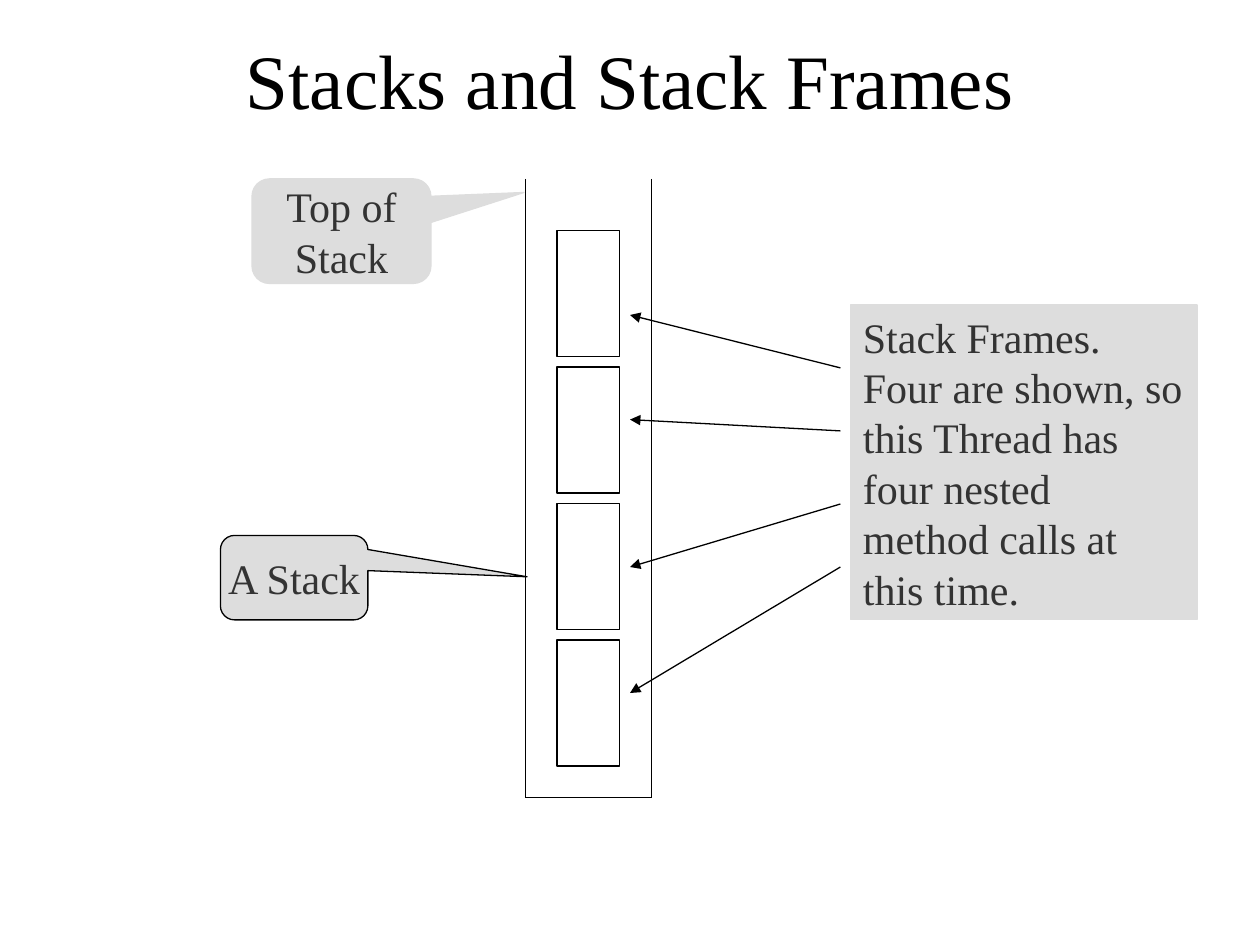
from lxml import etree
from pptx import Presentation
from pptx.dml.color import RGBColor
from pptx.enum.shapes import MSO_CONNECTOR, MSO_SHAPE
from pptx.enum.text import MSO_ANCHOR, PP_ALIGN
from pptx.oxml.ns import qn
from pptx.util import Inches, Pt

BLACK = RGBColor(0x00, 0x00, 0x00)
DARK_GRAY = RGBColor(0x33, 0x33, 0x33)
LIGHT_GRAY = RGBColor(0xDD, 0xDD, 0xDD)
FONT = "Times New Roman"
LINE_WIDTH = Pt(0.75)


def write_text(shape, *lines, size=24, color=DARK_GRAY, align=PP_ALIGN.CENTER,
               anchor=MSO_ANCHOR.MIDDLE, wrap=True):
    """Write one paragraph per line, all in the same format."""
    frame = shape.text_frame
    frame.word_wrap = wrap
    frame.vertical_anchor = anchor
    for index, line in enumerate(lines):
        paragraph = frame.paragraphs[0] if index == 0 else frame.add_paragraph()
        paragraph.text = line
        paragraph.alignment = align
        paragraph.font.name = FONT
        paragraph.font.size = Pt(size)
        paragraph.font.color.rgb = color


def add_box(slide, kind, left, top, width, height, fill=None, line=BLACK):
    shape = slide.shapes.add_shape(
        kind, Inches(left), Inches(top), Inches(width), Inches(height))
    shape.shadow.inherit = False
    if fill is None:
        shape.fill.background()
    else:
        shape.fill.solid()
        shape.fill.fore_color.rgb = fill
    shape.line.color.rgb = line
    shape.line.width = LINE_WIDTH
    return shape


def add_line(slide, start, end, arrow=False):
    connector = slide.shapes.add_connector(
        MSO_CONNECTOR.STRAIGHT, *(Inches(value) for value in (*start, *end)))
    connector.line.color.rgb = BLACK
    connector.line.width = LINE_WIDTH
    if arrow:
        line = connector.line._get_or_add_ln()
        etree.SubElement(line, qn("a:tailEnd"), type="triangle")
    etree.SubElement(connector._element.spPr, qn("a:effectLst"))


def add_title(slide, left, top, width, height):
    box = slide.shapes.add_textbox(
        Inches(left), Inches(top), Inches(width), Inches(height))
    write_text(box, "Stacks and Stack Frames", size=44, color=BLACK)


def add_stack(slide, left, top, width, height, frame_count=4):
    """Draw a container open at the top, with its frames piled from the bottom."""
    right, bottom = left + width, top + height
    frame_height, pitch, margin = 1, 13 / 12, 0.25
    first_top = bottom - margin - frame_height - (frame_count - 1) * pitch
    for index in range(frame_count):
        add_box(slide, MSO_SHAPE.RECTANGLE, left + margin,
                first_top + index * pitch, width - 2 * margin, frame_height)
    add_line(slide, (left, top), (left, bottom))
    add_line(slide, (right, top), (right, bottom))
    add_line(slide, (left, bottom), (right, bottom))


def add_callout(slide, left, top, width, height, *lines, pointer, line):
    callout = add_box(slide, MSO_SHAPE.ROUNDED_RECTANGULAR_CALLOUT,
                      left, top, width, height, fill=LIGHT_GRAY, line=line)
    callout.adjustments[0], callout.adjustments[1] = pointer
    write_text(callout, *lines, wrap=False)


def add_frames_note(slide, left, top, width, height):
    """Draw the explanation and its arrows to the stack frames."""
    note = add_box(slide, MSO_SHAPE.RECTANGLE, left, top, width, height,
                   fill=LIGHT_GRAY, line=LIGHT_GRAY)
    write_text(note, "Stack Frames.  Four are shown, so this Thread has four "
               "nested method calls at this time.",
               align=PP_ALIGN.LEFT, anchor=MSO_ANCHOR.TOP)
    arrow_heights = [(2.92, 2.5), (3.42, 3.33), (4, 4.5), (4.5, 5.5)]
    for start_y, end_y in arrow_heights:
        add_line(slide, (left - 0.08, start_y), (left - 1.75, end_y), arrow=True)


def main():
    presentation = Presentation()
    presentation.slide_width = Inches(10)
    presentation.slide_height = Inches(7.5)
    slide = presentation.slides.add_slide(presentation.slide_layouts[6])

    add_title(slide, 0.75, 0.25, 8.5, 0.75)
    add_stack(slide, 4.17, 1.42, 1, 4.91)
    add_callout(slide, 2, 1.42, 1.42, 0.83, "Top of", "Stack",
                pointer=(1.02, -0.37), line=LIGHT_GRAY)
    add_frames_note(slide, 6.75, 2.42, 2.75, 2.5)
    add_callout(slide, 1.75, 4.25, 1.17, 0.67, "A Stack",
                pointer=(1.58, -0.01), line=BLACK)

    presentation.save("out.pptx")


if __name__ == "__main__":
    main()
